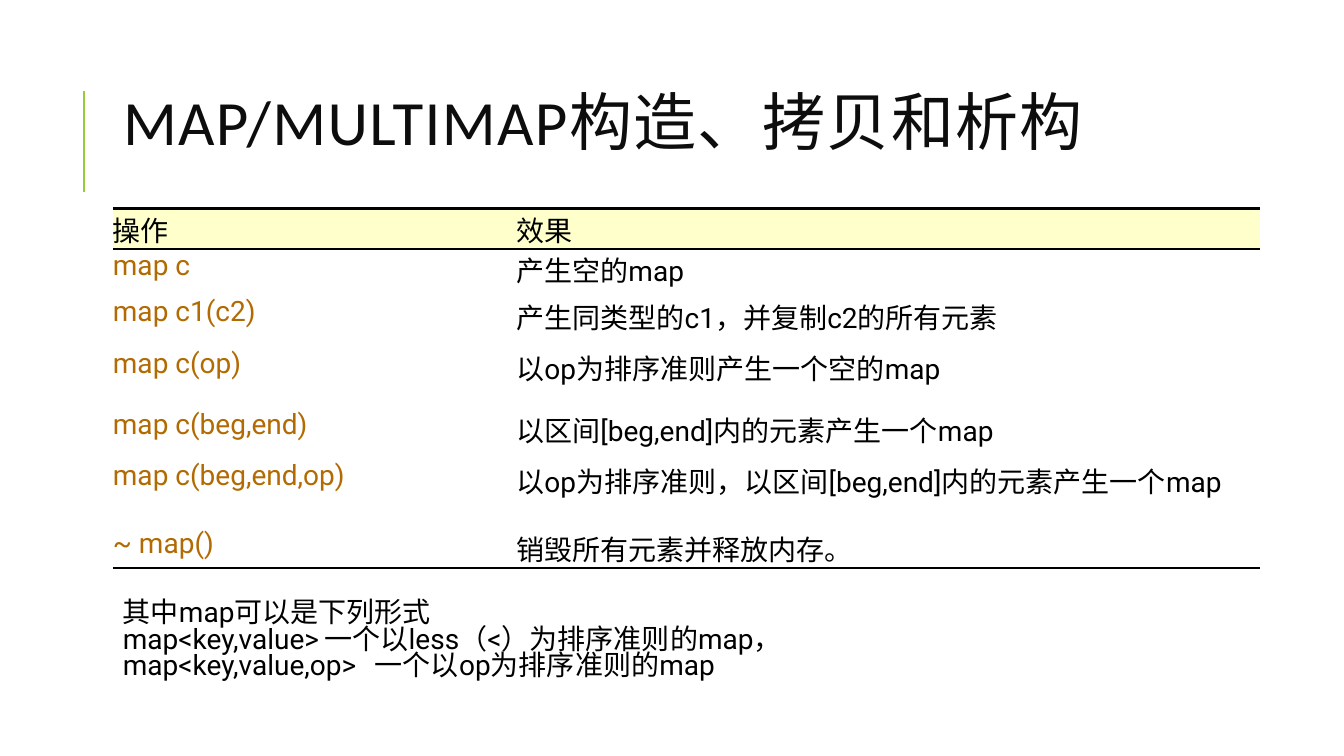
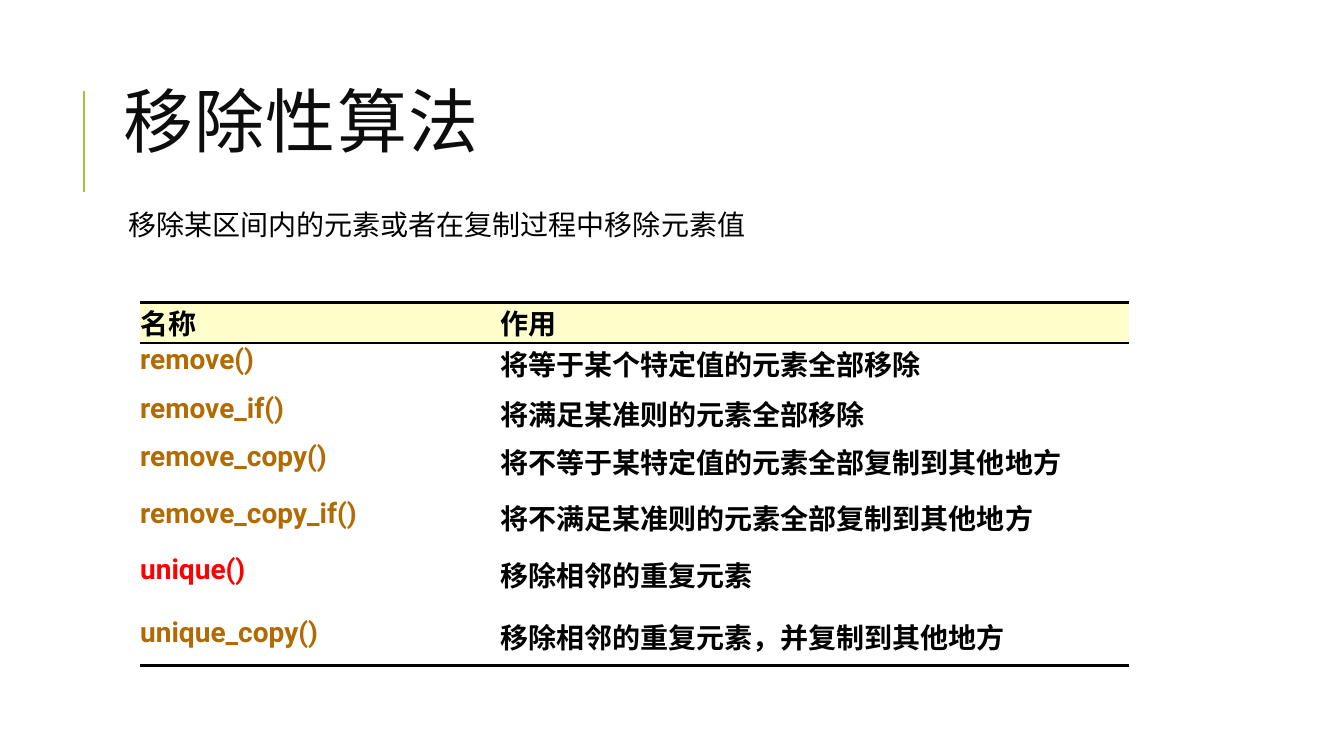
from lxml import etree
from pptx import Presentation
from pptx.dml.color import RGBColor
from pptx.enum.shapes import MSO_CONNECTOR
from pptx.enum.text import MSO_ANCHOR, MSO_AUTO_SIZE, PP_ALIGN
from pptx.oxml.ns import qn
from pptx.util import Inches, Pt

STRAIGHT = MSO_CONNECTOR.STRAIGHT
MIDDLE, TOP = MSO_ANCHOR.MIDDLE, MSO_ANCHOR.TOP
NO_AUTOFIT = MSO_AUTO_SIZE.NONE
LEFT = PP_ALIGN.LEFT

BLACK = RGBColor(0x00, 0x00, 0x00)
TITLE_INK = RGBColor(0x0D, 0x0D, 0x0D)
ACCENT_GREEN = RGBColor(0x99, 0xCB, 0x38)
HEADER_CREAM = RGBColor(0xFF, 0xFF, 0xCC)
CODE_BROWN = RGBColor(0xB2, 0x6B, 0x02)
ALERT_RED = RGBColor(0xFF, 0x00, 0x00)

# Boxes are left, top, width, height in inches
TITLE_BOX = (1.12, 0.64, 10.63, 1.25)
BODY_BOX = (1.12, 2.07, 11.38, 5.27)
NOTE_BOX = (1.12, 5.91, 7.72, 1.24)
RULE_X, RULE_TOP, RULE_BOTTOM = 0.83, 0.9, 1.9
THICK, THIN = 2.25, 1.5
LAYOUT_CONTENT, LAYOUT_TITLE_ONLY = 1, 5

TITLE_FONT = {"name": "Calibri", "bold": False}
TABLE_FONT = {"name": "Roboto", "size": Pt(20)}
NOTE_FONT = {"name": "Roboto", "size": Pt(20)}
BODY_FONT = {"name": "Courier New", "size": Pt(20)}
TIGHT_PARAGRAPH = {"alignment": LEFT, "line_spacing": 0.8,
                   "space_before": Pt(0), "space_after": Pt(0)}
PLAIN_FRAME = {"word_wrap": True, "auto_size": NO_AUTOFIT,
               "vertical_anchor": TOP}
NO_MARGINS = {"margin_left": 0, "margin_right": 0,
              "margin_top": 0, "margin_bottom": 0}

CONSTRUCTORS = [
    ("操作", "效果"),
    ("map c", "产生空的map"),
    ("map c1(c2)", "产生同类型的c1，并复制c2的所有元素"),
    ("map c(op)", "以op为排序准则产生一个空的map"),
    ("map c(beg,end)", "以区间[beg,end]内的元素产生一个map"),
    ("map c(beg,end,op)", "以op为排序准则，以区间[beg,end]内的元素产生一个map"),
    ("~ map()", "销毁所有元素并释放内存。"),
]
MAP_FORMS = [
    "其中map可以是下列形式",
    "map<key,value>\t一个以less（<）为排序准则的map，",
    "map<key,value,op>\t一个以op为排序准则的map",
]
REMOVERS = [
    ("名称", "作用"),
    ("remove()", "将等于某个特定值的元素全部移除"),
    ("remove_if()", "将满足某准则的元素全部移除"),
    ("remove_copy()", "将不等于某特定值的元素全部复制到其他地方"),
    ("remove_copy_if()", "将不满足某准则的元素全部复制到其他地方"),
    ("unique()", "移除相邻的重复元素"),
    ("unique_copy()", "移除相邻的重复元素，并复制到其他地方"),
]


def apply_format(target, values):
    for attribute, value in values.items():
        setattr(target, attribute, value)


def style_font(font, values, color):
    apply_format(font, values)
    font.color.rgb = color


def place(shape, box):
    names = ("left", "top", "width", "height")
    apply_format(shape, dict(zip(names, map(Inches, box))))


def add_child(parent, tag, **attributes):
    child = etree.SubElement(parent, qn(tag))
    for name, value in attributes.items():
        child.set(name, str(value))
    return child


def add_titled_slide(prs, layout, title, size):
    """Slide with the shared green rule and title."""
    slide = prs.slides.add_slide(prs.slide_layouts[layout])
    rule = slide.shapes.add_connector(
        STRAIGHT, Inches(RULE_X), Inches(RULE_BOTTOM),
        Inches(RULE_X), Inches(RULE_TOP))
    rule.line.color.rgb = ACCENT_GREEN
    rule.line.width = Pt(1.5)
    add_child(rule._element.spPr, "a:effectLst")

    heading = slide.shapes.title
    place(heading, TITLE_BOX)
    frame = heading.text_frame
    apply_format(frame, {**PLAIN_FRAME, "vertical_anchor": MIDDLE})
    frame.text = title
    paragraph = frame.paragraphs[0]
    apply_format(paragraph, TIGHT_PARAGRAPH)
    run_font = paragraph.runs[0].font
    style_font(run_font, {**TITLE_FONT, "size": Pt(size)}, TITLE_INK)
    paragraph.runs[0]._r.get_or_add_rPr().set("spc", "100")
    return slide


def set_borders(cell, top, bottom):
    """Horizontal borders in points; None leaves a side open."""
    properties = cell._tc.get_or_add_tcPr()
    sides = {"a:lnL": None, "a:lnR": None, "a:lnT": top, "a:lnB": bottom}
    for tag, width in sides.items():
        line = add_child(properties, tag, w=Pt(width or 0))
        if width:
            fill = add_child(line, "a:solidFill")
            add_child(fill, "a:srgbClr", val=BLACK)
        else:
            add_child(line, "a:noFill")


def add_ruled_table(slide, left, top, columns, heights, rows,
                    bold=False, alerts=()):
    """Table with a cream header and black rules; first column is code."""
    frame = slide.shapes.add_table(
        len(rows), len(columns), Inches(left), Inches(top),
        Inches(sum(columns)), Inches(sum(heights)))
    table = frame.table
    apply_format(table, {"first_row": False, "horz_banding": False})
    for column, width in zip(table.columns, columns):
        column.width = Inches(width)
    for row, height in zip(table.rows, heights):
        row.height = Inches(height)

    last = len(rows) - 1
    for r, texts in enumerate(rows):
        top_rule = {0: THICK, 1: THIN}.get(r)
        bottom_rule = {0: THIN, last: THICK}.get(r)
        for c, text in enumerate(texts):
            cell = table.cell(r, c)
            apply_format(cell, NO_MARGINS)
            set_borders(cell, top_rule, bottom_rule)
            if r == 0:
                cell.fill.solid()
                cell.fill.fore_color.rgb = HEADER_CREAM
            else:
                cell.fill.background()
            color = BLACK
            if r > 0 and c == 0:
                color = ALERT_RED if text in alerts else CODE_BROWN
            cell.text = text
            style_font(cell.text_frame.paragraphs[0].runs[0].font,
                       {**TABLE_FONT, "bold": bold}, color)


def add_note(slide, box, lines, tab_stops):
    note = slide.shapes.add_textbox(*map(Inches, box))
    frame = note.text_frame
    apply_format(frame, PLAIN_FRAME)
    for i, text in enumerate(lines):
        paragraph = frame.add_paragraph() if i else frame.paragraphs[0]
        tabs = add_child(paragraph._p.get_or_add_pPr(), "a:tabLst")
        for stop in tab_stops:
            add_child(tabs, "a:tab", pos=Inches(stop), algn="l")
        apply_format(paragraph, TIGHT_PARAGRAPH)
        run = paragraph.add_run()
        run.text = text
        style_font(run.font, NOTE_FONT, BLACK)
        add_child(run._r.get_or_add_rPr(), "a:ea", typeface=NOTE_FONT["name"])


def fill_body(slide, box, text):
    body = slide.placeholders[1]
    place(body, box)
    frame = body.text_frame
    apply_format(frame, PLAIN_FRAME)
    apply_format(frame, dict.fromkeys(NO_MARGINS, Inches(0.05)))
    frame.text = text
    paragraph = frame.paragraphs[0]
    properties = paragraph._p.get_or_add_pPr()
    properties.set("marL", str(Inches(0.1)))
    properties.set("indent", str(Inches(-0.1)))
    bullet_color = add_child(properties, "a:buClr")
    add_child(bullet_color, "a:srgbClr", val=ACCENT_GREEN)
    add_child(properties, "a:buChar", char=" ")
    apply_format(paragraph, {**TIGHT_PARAGRAPH, "space_after": Pt(2)})
    style_font(paragraph.runs[0].font, BODY_FONT, BLACK)


def build_constructor_slide(prs):
    slide = add_titled_slide(prs, LAYOUT_TITLE_ONLY,
                             "MAP/MULTIMAP构造、拷贝和析构", 45)
    add_ruled_table(slide, 1.12, 2.07, (4, 7.38),
                    (0.4, 0.46, 0.51, 0.61, 0.51, 0.67, 0.33), CONSTRUCTORS)
    add_note(slide, NOTE_BOX, MAP_FORMS, (2, 2.5))


def build_removal_slide(prs):
    slide = add_titled_slide(prs, LAYOUT_CONTENT, "移除性算法", 50)
    fill_body(slide, BODY_BOX, "移除某区间内的元素或者在复制过程中移除元素值")
    add_ruled_table(slide, 1.39, 3, (3.57, 6.24),
                    (0.39, 0.49, 0.48, 0.56, 0.56, 0.62, 0.49), REMOVERS,
                    bold=True, alerts=("unique()",))


def main():
    prs = Presentation()
    prs.slide_width, prs.slide_height = Inches(13.33), Inches(7.5)
    build_constructor_slide(prs)
    build_removal_slide(prs)
    prs.save("out.pptx")


if __name__ == "__main__":
    main()
